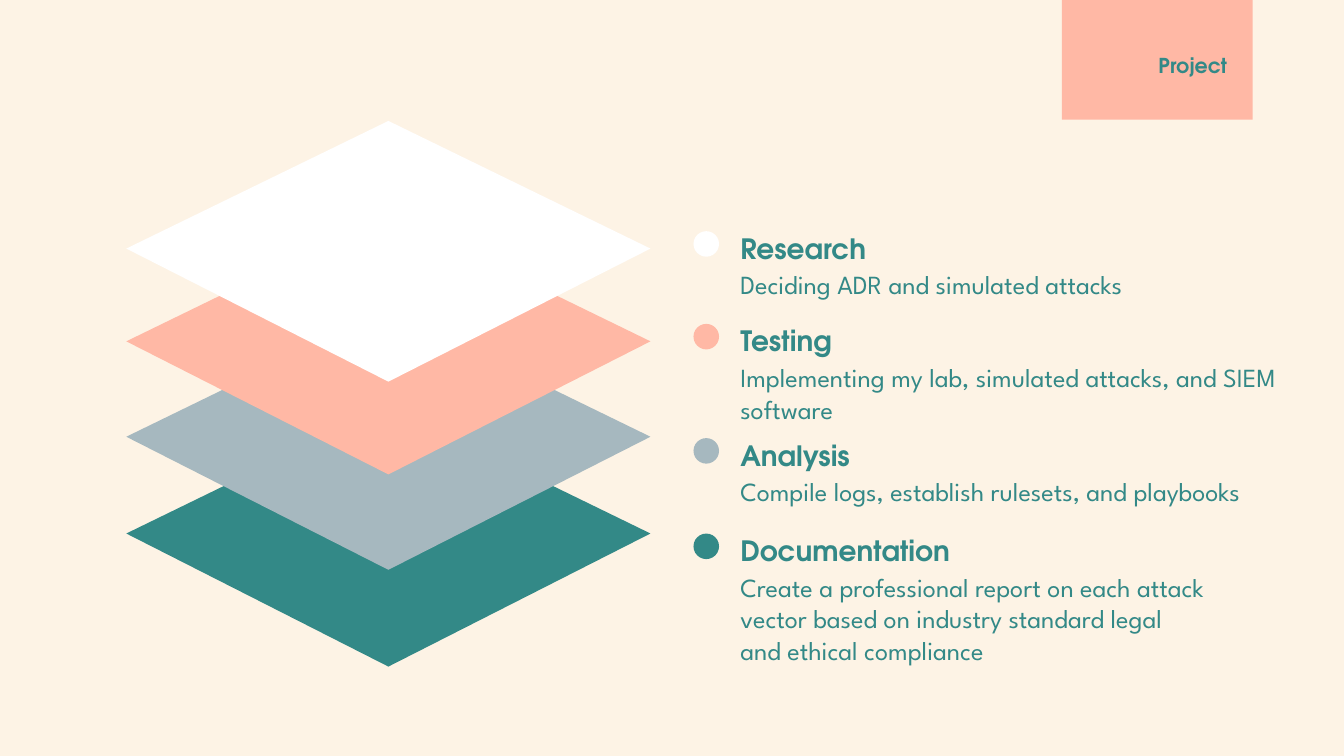
from pptx import Presentation
from pptx.dml.color import RGBColor
from pptx.enum.shapes import MSO_SHAPE
from pptx.enum.text import MSO_ANCHOR, PP_ALIGN
from pptx.util import Inches, Pt

COLORS = {
    "cream": "FDF3E5",
    "peach": "FFB8A5",
    "teal": "338987",
    "gray": "A6B8BF",
    "white": "FFFFFF",
}
HEADING_FONT = "TeX Gyre Adventor"
BODY_FONT = "League Spartan"


def color(name):
    return RGBColor.from_string(COLORS[name])


def write(box, text, font=BODY_FONT, size=14, bold=False,
          align=PP_ALIGN.LEFT, anchor=MSO_ANCHOR.TOP):
    frame = box.text_frame
    frame.word_wrap = True
    frame.vertical_anchor = anchor
    frame.margin_left = frame.margin_right = Inches(0.1)
    frame.margin_top = frame.margin_bottom = Inches(0.1)
    para = frame.paragraphs[0]
    para.alignment = align
    span = para.add_run()
    span.text = text
    span.font.name = font
    span.font.size = Pt(size)
    span.font.bold = bold
    span.font.color.rgb = color("teal")


class LayerPage:
    def __init__(self, deck):
        self.page = deck.slides.add_slide(deck.slide_layouts[6])
        background = self.page.background.fill
        background.solid()
        background.fore_color.rgb = color("cream")

    def paint(self, shape, fill):
        shape.shadow.inherit = False
        shape.fill.solid()
        shape.fill.fore_color.rgb = color(fill)
        shape.line.fill.background()

    def shape(self, kind, left, top, width, height, fill):
        shape = self.page.shapes.add_shape(
            kind, Inches(left), Inches(top), Inches(width), Inches(height))
        self.paint(shape, fill)

    def layer(self, top, fill):
        # The side corners sit slightly above the middle
        corners = [(2.89, top), (0.94, top + 0.95),
                   (2.89, top + 1.94), (4.84, top + 0.95)]
        points = [(Inches(x), Inches(y)) for x, y in corners]
        builder = self.page.shapes.build_freeform(*points[0])
        builder.add_line_segments(points[1:], close=True)
        self.paint(builder.convert_to_shape(), fill)

    def text(self, left, top, width, height, text, **style):
        box = self.page.shapes.add_textbox(
            Inches(left), Inches(top), Inches(width), Inches(height))
        write(box, text, **style)


# Layer top, entry top, color, heading, description, description width
STEPS = [
    (0.9, 1.7, "white", "Research",
     "Deciding ADR and simulated attacks", 3.91),
    (1.59, 2.39, "peach", "Testing",
     "Implementing my lab, simulated attacks, and SIEM software", 4.59),
    (2.3, 3.24, "gray", "Analysis",
     "Compile logs, establish rulesets, and playbooks", 4.4),
    (3.02, 3.95, "teal", "Documentation",
     "Create a professional report on each attack vector based on "
     "industry standard legal and ethical compliance", 3.65),
]


def main():
    deck = Presentation()
    # Widescreen, 16:9
    deck.slide_width = Inches(10)
    deck.slide_height = Inches(10 * 9 / 16)
    page = LayerPage(deck)

    # Title tab
    page.shape(MSO_SHAPE.RECTANGLE, 7.9, 0, 1.42, 0.89, "peach")
    page.text(6.09, 0.14, 3.14, 0.53, "Project", font=HEADING_FONT, size=11,
              bold=True, align=PP_ALIGN.RIGHT, anchor=MSO_ANCHOR.BOTTOM)

    # Stack and legend dots, bottom layer first
    for layer_top, entry_top, fill, *_ in reversed(STEPS):
        page.layer(layer_top, fill)
        page.shape(MSO_SHAPE.OVAL, 5.16, entry_top + 0.02, 0.19, 0.19, fill)

    # Legend text
    for _, top, _, heading, description, width in STEPS:
        page.text(5.41, top + 0.2, width, 0.36, description)
        page.text(5.41, top, 1.96, 0.29, heading, font=HEADING_FONT, size=15,
                  bold=True, anchor=MSO_ANCHOR.MIDDLE)

    deck.save("out.pptx")


if __name__ == "__main__":
    main()
